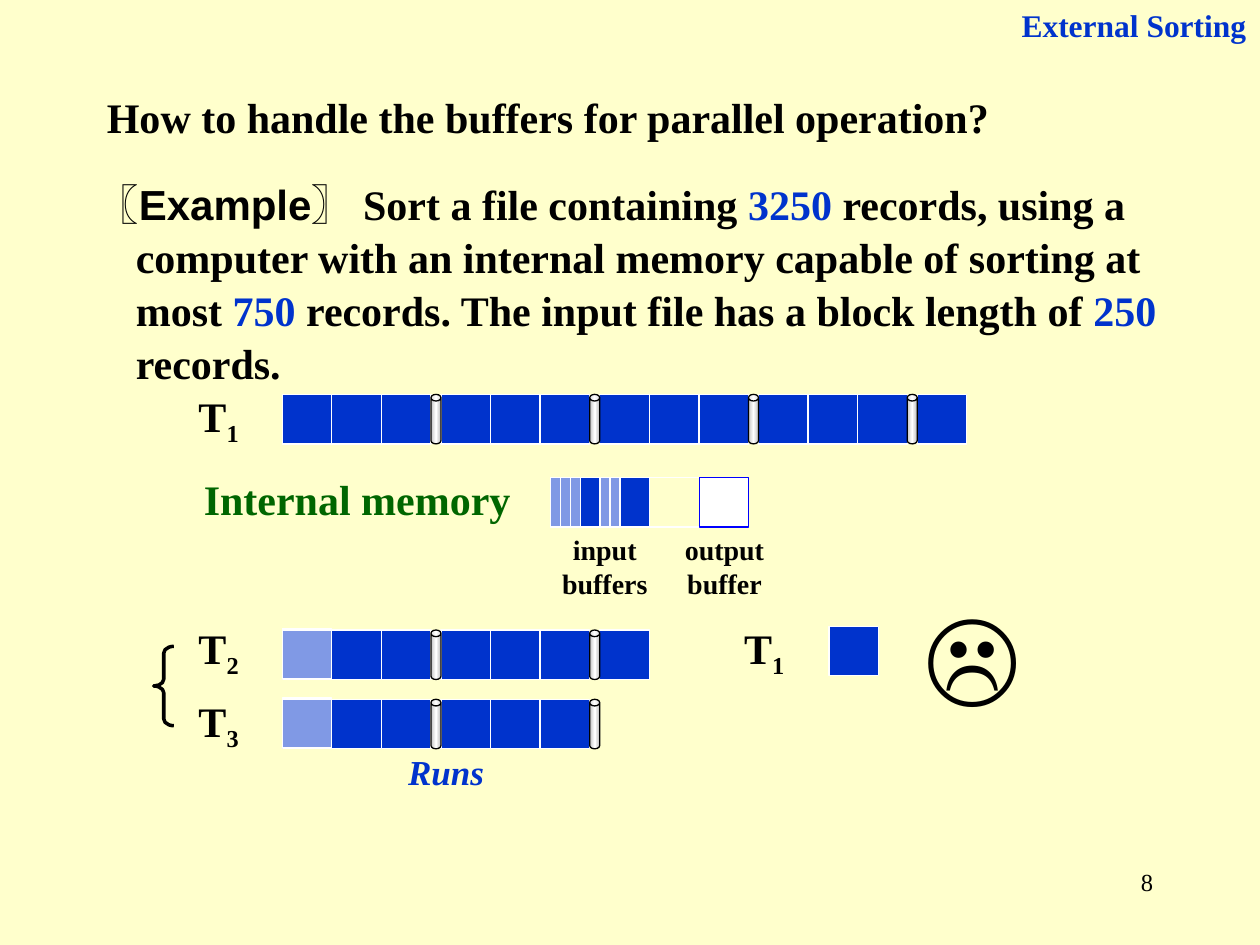
from copy import deepcopy

from pptx import Presentation
from pptx.dml.color import RGBColor
from pptx.enum.shapes import MSO_SHAPE
from pptx.enum.text import PP_ALIGN
from pptx.oxml.ns import qn
from pptx.oxml.xmlchemy import OxmlElement
from pptx.util import Inches, Pt

SERIF, SANS, CJK = "Times New Roman", "Arial", "Noto Sans CJK SC"
BLACK, BLUE, GREEN, WHITE, CREAM = "000000", "0033CC", "006600", "FFFFFF", "FFFFCC"
LEFT, CENTER, RIGHT = PP_ALIGN.LEFT, PP_ALIGN.CENTER, PP_ALIGN.RIGHT

# text, box (left, top, width, height), alignment, size, colour, bold, italic
LABELS = [
    ("8", (7.17, 6.83, 2.08, 0.5), RIGHT, 14, BLACK, False, False),
    ("External Sorting", (7.6, 0, 2.39, 0.4), RIGHT, 18, BLUE, True, False),
    ("How to handle the buffers for parallel operation?",
     (0.75, 0.68, 8.43, 0.5), LEFT, 24, BLACK, True, False),
    ("Internal memory", (1.3, 3.71, 3.07, 0.5), CENTER, 24, GREEN, True, False),
    ("input buffers", (4.21, 4.18, 1.18, 0.64), CENTER, 16, BLACK, True, False),
    ("output buffer", (5.16, 4.18, 1.18, 0.64), CENTER, 16, BLACK, True, False),
    ("Runs", (3.03, 5.91, 1.02, 0.43), CENTER, 20, BLUE, True, True),
    ("☹", (7.13, 4.62, 1.18, 1.1), CENTER, 60, BLACK, False, False),
]
EXAMPLE_BOX = (0.67, 1.35, 9.06, 1.7)
EXAMPLE = [
    ("〖", CJK, BLACK),
    ("Example", SANS, BLACK),
    ("〗 ", CJK, BLACK),
    ("Sort a file containing ", SERIF, BLACK),
    ("3250", SERIF, BLUE),
    (" records, using a computer with an internal memory capable of sorting at most ",
     SERIF, BLACK),
    ("750", SERIF, BLUE),
    (" records. The input file has a block length of ", SERIF, BLACK),
    ("250", SERIF, BLUE),
    (" records.", SERIF, BLACK),
]
# subscript, label left, label top, first block left, block top, blocks, separators, first block read
TAPES = [
    ("1", 1.38, 3.05, 2.24, 3.13, 13, 4, False),
    ("2", 1.38, 4.89, 2.24, 5.0, 7, 2, True),
    ("3", 1.38, 5.47, 2.24, 5.55, 6, 2, True),
    ("1", 5.71, 4.89, 6.58, 4.97, 1, 0, False),
]
BLOCKS_PER_RUN = 3
RUN_PITCH = 1.26
SEPARATOR = 0.08
BLOCK = (RUN_PITCH - SEPARATOR) / BLOCKS_PER_RUN

MEMORY_LEFT, MEMORY_TOP = 4.37, 3.79
BUFFERS = [(BLUE, WHITE), (BLUE, WHITE), (CREAM, WHITE), (WHITE, "0000FF")]  # fill, line
SLICES_PER_BLOCK = 5
SLICES_READ = [3, 2]  # per input buffer


def color(value):
    return RGBColor.from_string(value)


def add_run(paragraph, text, size, value, font=SERIF, bold=True, italic=False):
    run = paragraph.add_run()
    run.text = text
    run.font.size = Pt(size)
    run.font.name = font
    run.font.bold = bold
    run.font.italic = italic
    run.font.color.rgb = color(value)
    if font == CJK:
        east_asian = OxmlElement("a:ea")
        east_asian.set("typeface", font)
        run.font._element.find(qn("a:latin")).addnext(east_asian)
    return run


def add_text_box(slide, box, alignment):
    """Add an empty wrapping text box and return its paragraph."""
    frame = slide.shapes.add_textbox(*map(Inches, box)).text_frame
    frame.word_wrap = True
    paragraph = frame.paragraphs[0]
    paragraph.alignment = alignment
    return paragraph


def add_shape(slide, kind, box, line, weight=0.75):
    shape = slide.shapes.add_shape(kind, *map(Inches, box))
    shape.shadow.inherit = False
    shape.line.color.rgb = color(line)
    shape.line.width = Pt(weight)
    return shape


def add_block(slide, left, top, fill=BLUE, line=WHITE, width=BLOCK, alpha=None):
    shape = add_shape(slide, MSO_SHAPE.RECTANGLE, (left, top, width, BLOCK), line)
    shape.fill.solid()
    shape.fill.fore_color.rgb = color(fill)
    if alpha is not None:
        opacity = OxmlElement("a:alpha")
        opacity.set("val", str(alpha * 1000))
        shape._element.spPr.find(qn("a:solidFill"))[0].append(opacity)


def add_separator(slide, left, top):
    """Add the silver cylinder that ends a run."""
    can = add_shape(slide, MSO_SHAPE.CAN, (left, top, SEPARATOR, BLOCK), BLACK)
    can.adjustments[0] = 0.665
    can.fill.gradient()
    can.fill.gradient_angle = 0
    for stop, position in zip(can.fill.gradient_stops, (0, 1)):
        stop.color.rgb = color("C0C0C0")
        stop.position = position
    stops = can._element.spPr.find(".//" + qn("a:gsLst"))
    middle = deepcopy(stops[0])
    middle.set("pos", "50000")
    middle[0].set("val", WHITE)
    stops.insert(1, middle)


def add_tape(slide, subscript, label_left, label_top, left, top, blocks, separators, read):
    paragraph = add_text_box(slide, (label_left, label_top, 0.71, 0.5), CENTER)
    add_run(paragraph, "T", 24, BLACK)
    index = add_run(paragraph, subscript, 24, BLACK)
    index.font._element.set("baseline", "-25000")
    for number in range(blocks):
        run, position = divmod(number, BLOCKS_PER_RUN)
        add_block(slide, left + run * RUN_PITCH + position * BLOCK, top)
    for run in range(separators):
        add_separator(slide, left + (run + 1) * RUN_PITCH - SEPARATOR, top)
    if read:
        add_block(slide, left, top - 0.01, WHITE, alpha=50)


def add_memory(slide):
    for number, (fill, line) in enumerate(BUFFERS):
        add_block(slide, MEMORY_LEFT + number * BLOCK, MEMORY_TOP, fill, line)
    slice_width = BLOCK / SLICES_PER_BLOCK
    for number, count in enumerate(SLICES_READ):
        for position in range(count):
            left = MEMORY_LEFT + number * BLOCK + position * slice_width
            add_block(slide, left, MEMORY_TOP, WHITE, width=slice_width, alpha=50)


def main():
    presentation = Presentation()
    presentation.slide_width, presentation.slide_height = Inches(10), Inches(7.5)
    slide = presentation.slides.add_slide(presentation.slide_layouts[6])
    slide.background.fill.solid()
    slide.background.fill.fore_color.rgb = color(CREAM)

    for text, box, alignment, size, value, bold, italic in LABELS:
        paragraph = add_text_box(slide, box, alignment)
        add_run(paragraph, text, size, value, bold=bold, italic=italic)

    example = add_text_box(slide, EXAMPLE_BOX, LEFT)
    example.line_spacing = 1.05
    properties = example._element.get_or_add_pPr()
    properties.set("marL", str(Inches(0.31)))
    properties.set("indent", str(-Inches(0.31)))
    for text, font, value in EXAMPLE:
        add_run(example, text, 24, value, font)

    for tape in TAPES:
        add_tape(slide, *tape)
    add_memory(slide)

    brace = add_shape(slide, MSO_SHAPE.LEFT_BRACE, (1.22, 5.13, 0.16, 0.63), BLACK, 2)
    brace.fill.background()
    brace.adjustments[0] = 0.336

    presentation.save("out.pptx")


if __name__ == "__main__":
    main()
